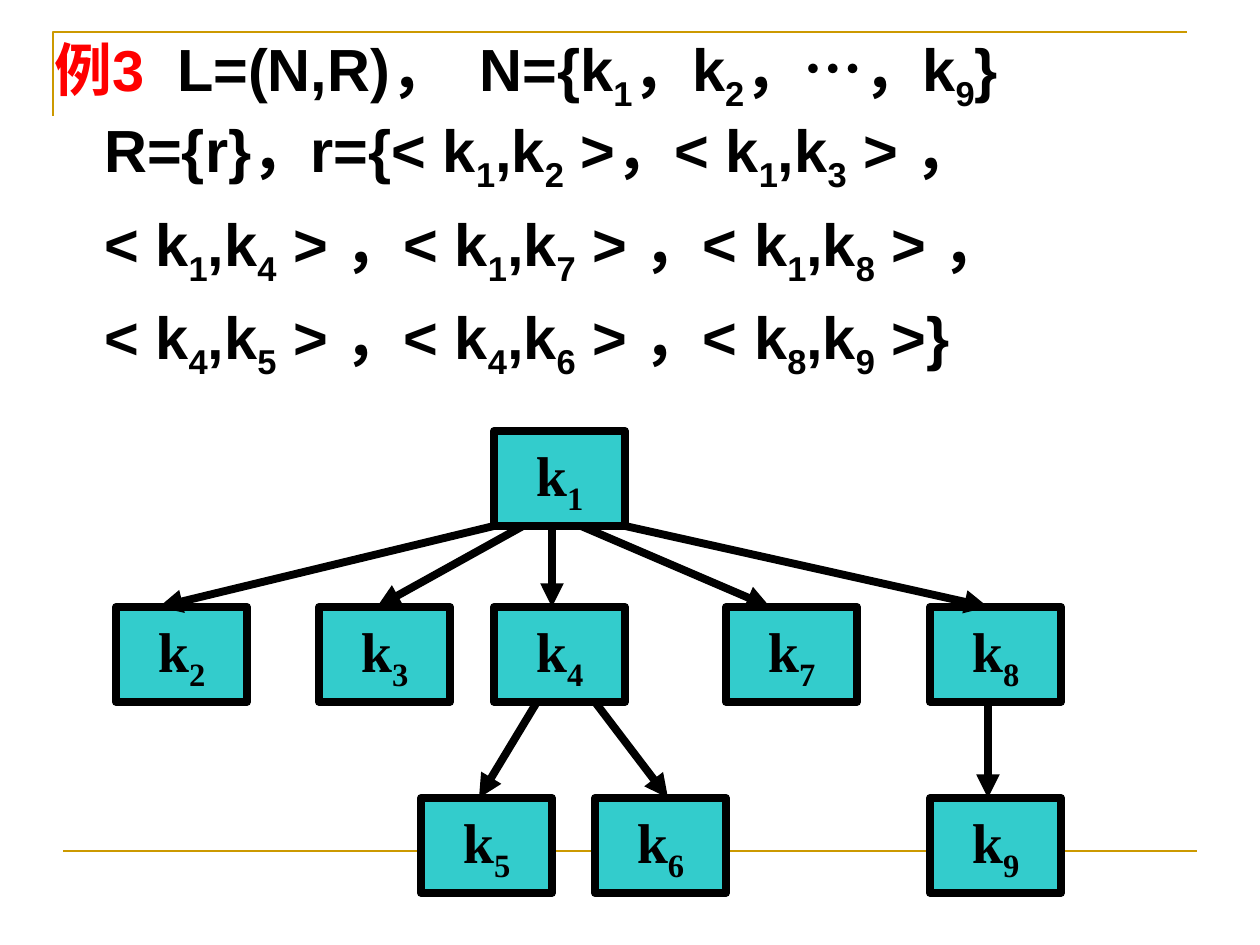
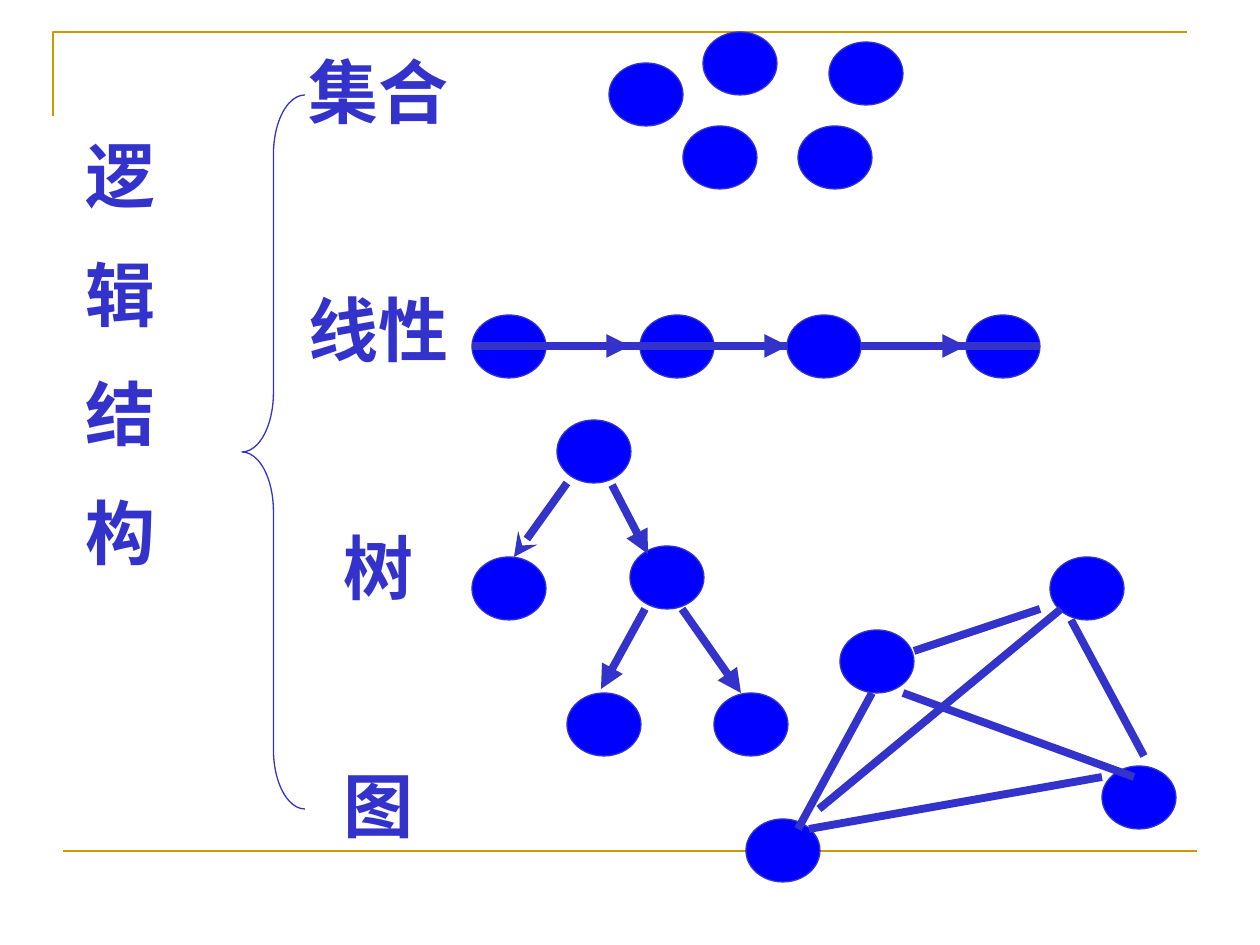
from lxml import etree
from pptx import Presentation
from pptx.dml.color import RGBColor
from pptx.enum.lang import MSO_LANGUAGE_ID as Language
from pptx.enum.shapes import MSO_CONNECTOR as Connector, MSO_SHAPE as Shape
from pptx.enum.text import MSO_ANCHOR as Anchor, PP_ALIGN as Align
from pptx.oxml.ns import qn
from pptx.util import Pt

SCALE = 914400 / 126  # EMU in one px
COLORS = {
    "frame": "CC9900",
    "black": "000000",
    "red": "FF0000",
    "box": "33CCCC",
    "node": "0000FF",
    "accent": "3333CC",
}
ARIAL, TIMES = "Arial", "Times New Roman"
THICK, THIN = 4.5, 0.75


def emu(px):
    return round(px * SCALE)


def rgb(name):
    return RGBColor.from_string(COLORS[name])


class Deck:
    """Holds the presentation, its style and the current slide."""

    def __init__(self, width, height):
        self.presentation = Presentation()
        self.presentation.slide_width = emu(width)
        self.presentation.slide_height = emu(height)
        self.slide = None

    def new_slide(self):
        layout = self.presentation.slide_layouts[6]
        self.slide = self.presentation.slides.add_slide(layout)
        # Gold corner and bottom rule
        builder = self.slide.shapes.build_freeform(emu(53), emu(116))
        builder.add_line_segments([(emu(53), emu(32)), (emu(1187), emu(32))], close=False)
        self.paint(builder.convert_to_shape(), None, "frame", 1.5)
        self.line(63, 851, 1197, 851, "frame", 1.5)

    def paint(self, shape, fill, line, weight):
        shape.shadow.inherit = False
        if fill:
            shape.fill.solid()
            shape.fill.fore_color.rgb = rgb(fill)
        else:
            shape.fill.background()
        shape.line.color.rgb = rgb(line)
        shape.line.width = Pt(weight)

    def shape(self, kind, x, y, width, height, fill, line, weight):
        shape = self.slide.shapes.add_shape(kind, emu(x), emu(y), emu(width), emu(height))
        self.paint(shape, fill, line, weight)
        return shape

    def line(self, x1, y1, x2, y2, color, weight=THICK, head=None):
        connector = self.slide.shapes.add_connector(
            Connector.STRAIGHT, emu(x1), emu(y1), emu(x2), emu(y2))
        connector.line.color.rgb = rgb(color)
        connector.line.width = Pt(weight)
        if head:
            outline = connector.line._get_or_add_ln()
            etree.SubElement(outline, qn("a:tailEnd"), type=head)
        etree.SubElement(connector._element.spPr, qn("a:effectLst"))

    def text_frame(self, x, y, width, height):
        box = self.slide.shapes.add_textbox(emu(x), emu(y), emu(width), emu(height))
        box.text_frame.word_wrap = True
        return box.text_frame

    def paragraph(self, frame, first, space_before=0, align=Align.LEFT):
        paragraph = frame.paragraphs[0] if first else frame.add_paragraph()
        paragraph.alignment = align
        if not first:
            paragraph.space_before = Pt(space_before)
        return paragraph

    def run(self, paragraph, text, size, font, color, **attributes):
        run = paragraph.add_run()
        run.text = text
        run.font.size = Pt(size)
        run.font.name = font
        run.font.bold = True
        run.font.color.rgb = rgb(color)
        run.font.language_id = Language.SIMPLIFIED_CHINESE
        for name, value in attributes.items():
            run._r.get_or_add_rPr().set(name, value)

    def formula(self, paragraph, text, size, font):
        """Writes text in which "_" makes the next character a subscript."""
        start, *pieces = text.split("_")
        if start:
            self.run(paragraph, start, size, font, "black")
        for piece in pieces:
            self.run(paragraph, piece[0], size, font, "black", baseline="-25000")
            if piece[1:]:
                self.run(paragraph, piece[1:], size, font, "black")

    def column(self, x, y, width, height, words, space_before):
        frame = self.text_frame(x, y, width, height)
        for index, word in enumerate(words):
            paragraph = self.paragraph(frame, index == 0, space_before, Align.CENTER)
            self.run(paragraph, word, 40, TIMES, "accent")

    def tree_box(self, x, y, label):
        box = self.shape(Shape.RECTANGLE, x, y, BOX_WIDTH, BOX_HEIGHT, "box", "black", THICK)
        frame = box.text_frame
        frame.vertical_anchor = Anchor.MIDDLE
        self.formula(self.paragraph(frame, True, align=Align.CENTER), label, 32, TIMES)

    def nodes(self, *corners):
        for x, y in corners:
            self.shape(Shape.OVAL, x, y, 74, 63, "node", "accent", THIN)


# Slide 1: corners of the tree boxes, and edges as
# parent, child, start and end measured from the left of each box
BOX_WIDTH, BOX_HEIGHT = 131, 95
TREE = {
    1: (494, 431),
    2: (116, 607), 3: (319, 607), 4: (494, 607), 7: (726, 607), 8: (930, 607),
    5: (421, 798), 6: (595, 798), 9: (930, 798),
}
TREE_EDGES = [
    (1, 2, 0, 43), (1, 3, 29, 58), (1, 4, 58, 58), (1, 7, 87, 44), (1, 8, 131, 58),
    (4, 5, 43, 58), (4, 6, 101, 73), (8, 9, 58, 58),
]
RELATION_LINES = [
    "< k_1,k_4 > ，< k_1,k_7 > ，< k_1,k_8 > ，",
    "< k_4,k_5 > ，< k_4,k_6 > ，< k_8,k_9 >}",
]


def tree_example(deck):
    deck.new_slide()

    # Definition of the structure, with a hanging first line
    frame = deck.text_frame(42, 26, 1218, 350)
    paragraph = deck.paragraph(frame, True)
    indent = emu(50)
    properties = paragraph._p.get_or_add_pPr()
    properties.set("marL", str(indent))
    properties.set("indent", str(-indent))
    deck.run(paragraph, "例3", 33, ARIAL, "red")
    for part in ("L=(N,R)，", "N={k_1，k_2，…，k_9}"):
        deck.run(paragraph, " ", 34, ARIAL, "black", spc="945")
        deck.formula(paragraph, part, 34, ARIAL)
    paragraph.add_line_break()
    deck.formula(paragraph, "R={r}，r={< k_1,k_2 >，< k_1,k_3 > ，", 34, ARIAL)
    for text in RELATION_LINES:
        paragraph = deck.paragraph(frame, False, 7)
        properties = paragraph._p.get_or_add_pPr()
        properties.set("marL", str(indent))
        properties.set("indent", "0")
        deck.formula(paragraph, text, 34, ARIAL)

    # Tree
    for number, (x, y) in TREE.items():
        deck.tree_box(x, y, f"k_{number}")
    for parent, child, start, end in TREE_EDGES:
        (x1, y1), (x2, y2) = TREE[parent], TREE[child]
        deck.line(x1 + start, y1 + BOX_HEIGHT, x2 + end, y2, "black", head="triangle")


def logical_structures(deck):
    deck.new_slide()

    # Heading, brace and the four kinds
    deck.column(73, 126, 95, 475, "逻辑结构", 20)
    brace = deck.shape(Shape.LEFT_BRACE, 242, 95, 63, 714, None, "accent", THIN)
    brace.adjustments[0] = 0.944
    deck.column(242, 42, 273, 853, ["集合", "线性", "树", "图"], 88)

    # Set
    deck.nodes((609, 63), (683, 126), (829, 42), (703, 32), (798, 126))

    # Linear list: the third node lies over the line
    deck.nodes((966, 315), (472, 315), (640, 315))
    deck.line(472, 346, 1040, 346, "accent")
    deck.nodes((787, 315))
    for tip in (630, 788, 966):
        deck.line(tip - 21, 346, tip, 346, "accent", head="triangle")

    # Tree
    deck.nodes((630, 546), (472, 557), (557, 420), (714, 693), (567, 693))
    deck.line(567, 483, 514, 557, "accent", head="stealth")
    for ends in ((612, 485, 648, 554), (645, 609, 601, 689), (682, 609, 741, 693)):
        deck.line(*ends, "accent", head="triangle")

    # Graph
    deck.nodes((840, 630), (1102, 766), (746, 819), (1050, 557))
    for ends in ((872, 693, 798, 829), (1071, 620, 1144, 756), (1040, 609, 914, 651),
                 (1102, 777, 809, 829), (1061, 609, 819, 809), (903, 693, 1134, 777)):
        deck.line(*ends, "accent")


def main():
    deck = Deck(1260, 945)
    tree_example(deck)
    logical_structures(deck)
    deck.presentation.save("out.pptx")


if __name__ == "__main__":
    main()
